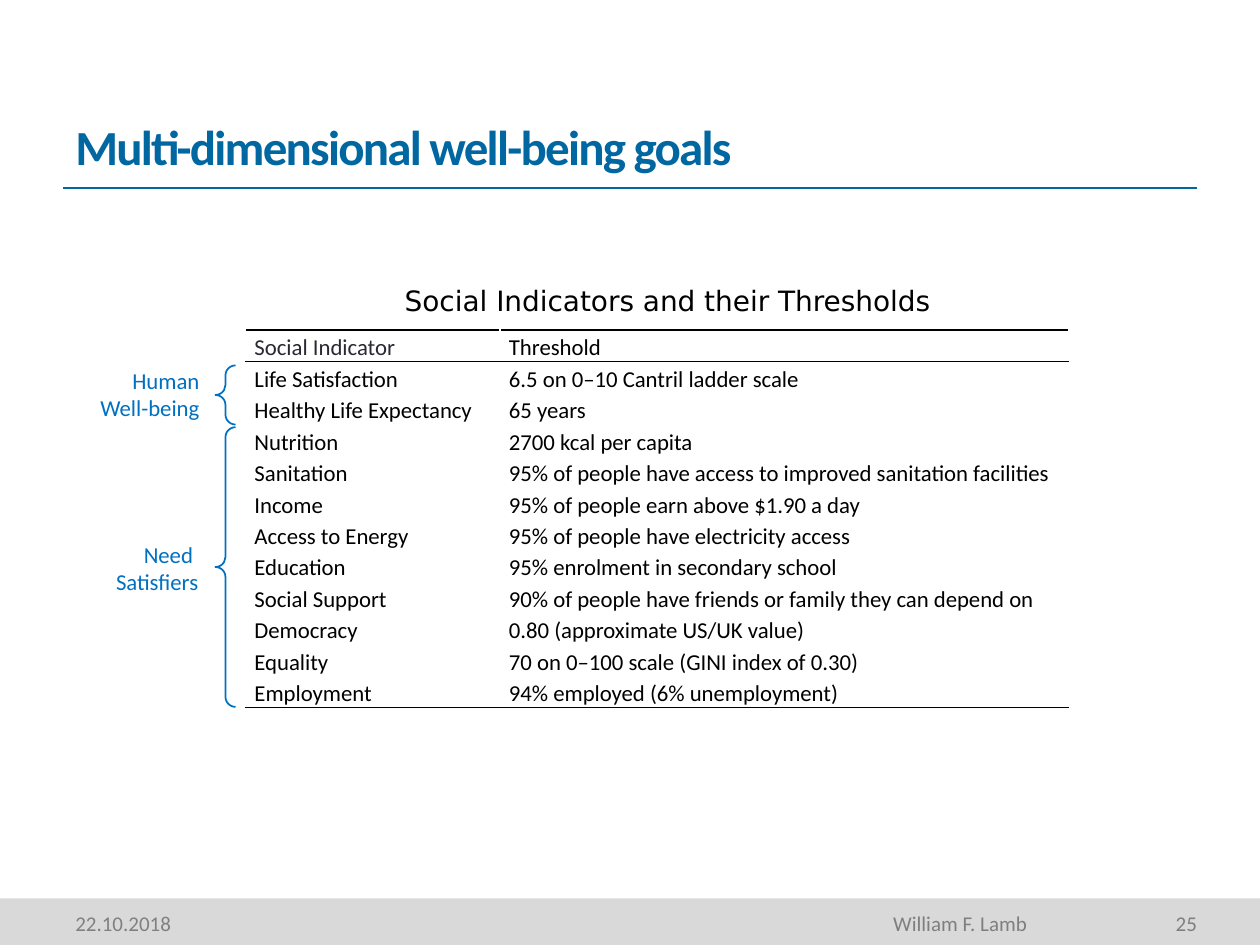
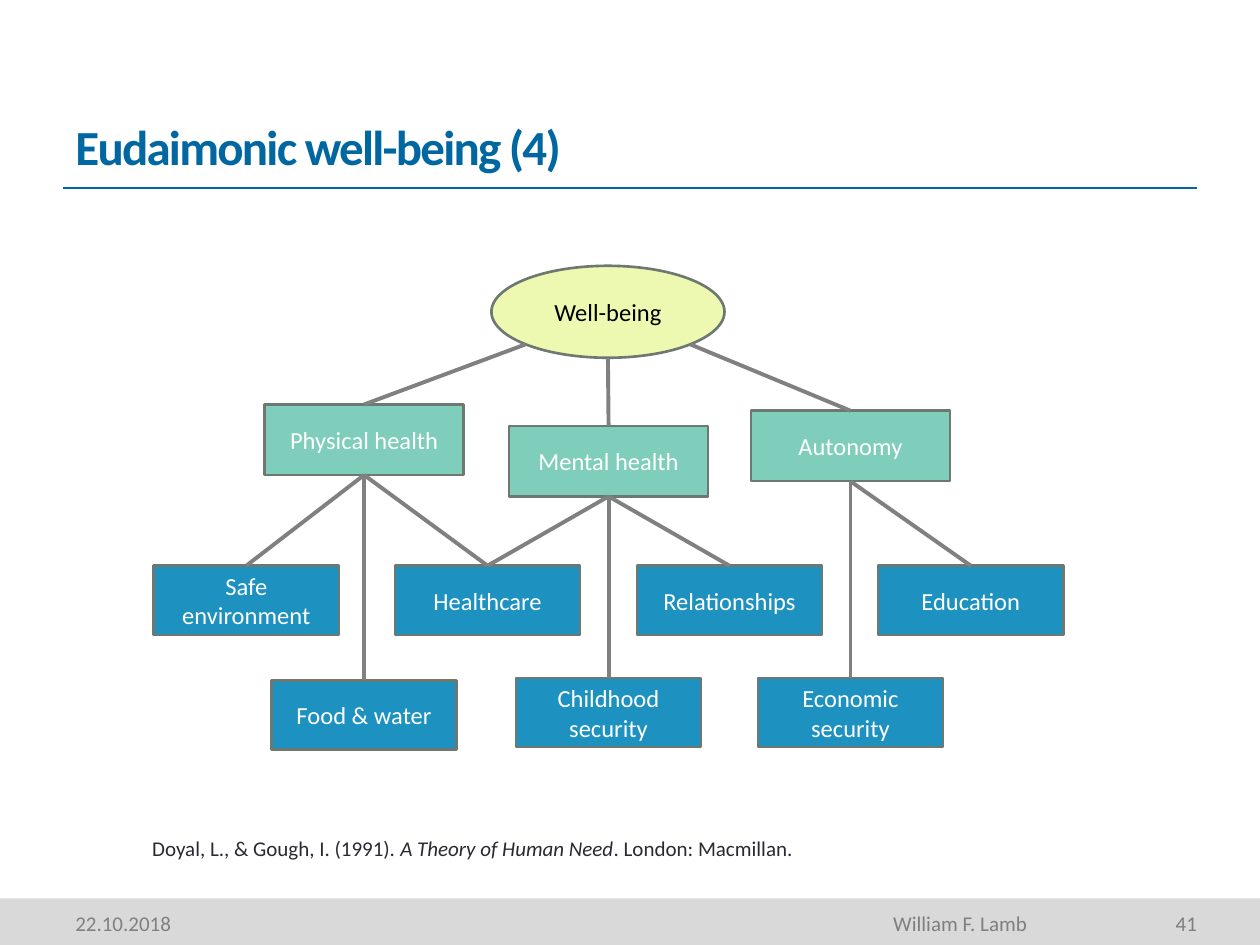
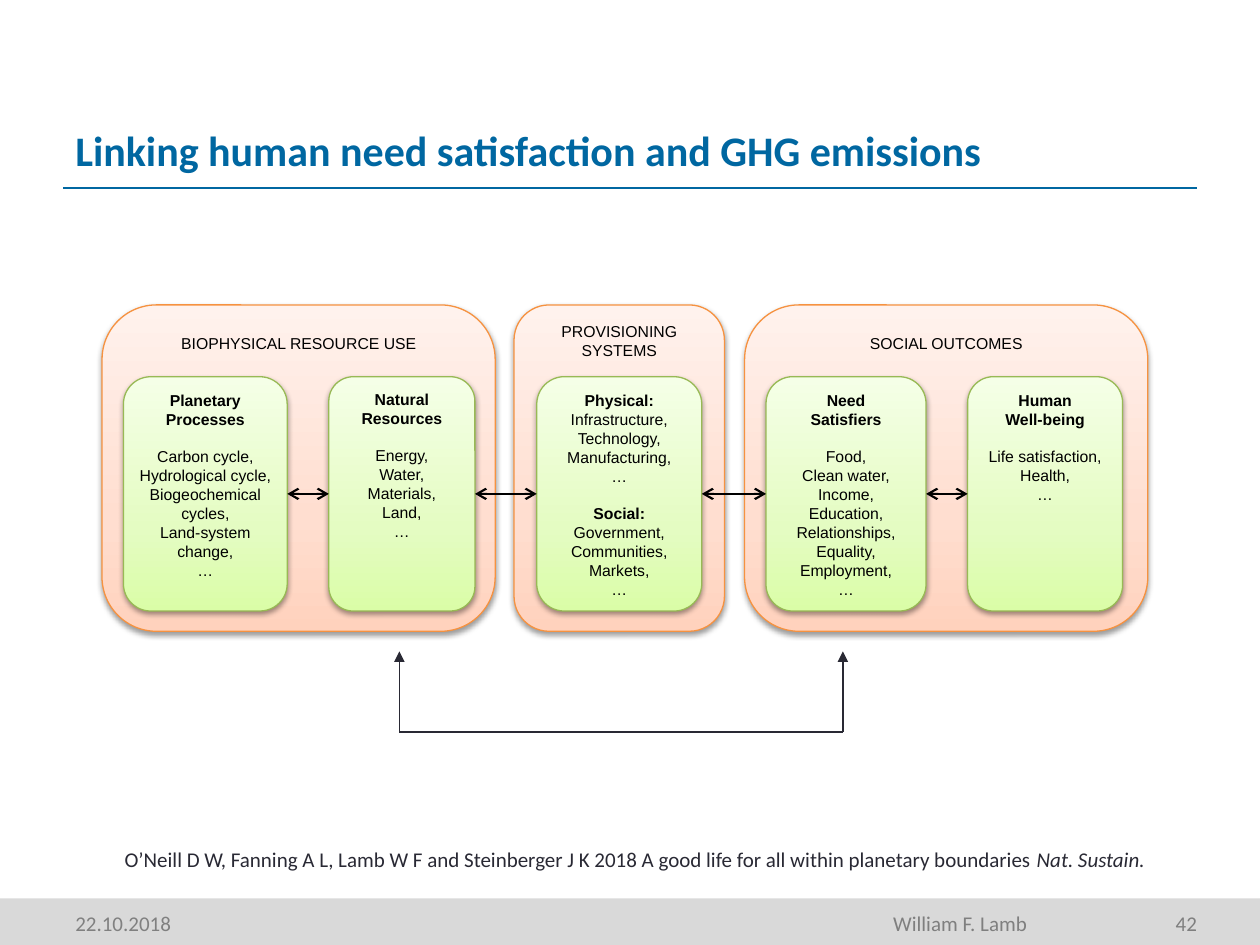
"""Three slides on human well-being, drawn on a grid of 100 columns and 75 rows."""
import copy
import dataclasses
import math
import typing

import lxml.etree
import pptx
import pptx.dml.color
import pptx.enum.shapes
import pptx.enum.text
import pptx.oxml.ns
import pptx.util

Align = pptx.enum.text.PP_ALIGN
Anchor = pptx.enum.text.MSO_ANCHOR
Preset = pptx.enum.shapes.MSO_SHAPE
Point = tuple[float, float]
Stops = tuple[tuple[float, str], ...]
qn = pptx.oxml.ns.qn


@dataclasses.dataclass(frozen=True)
class Type:
    """A font, its size in points and its colour."""
    font: str
    size: float
    color: str
    bold: bool = False
    tracking: float = 0


@dataclasses.dataclass(frozen=True)
class Theme:
    """The colours and type sizes of the deck."""
    brand: str = "0067A1"
    band: str = "D9D9D9"
    ink: str = "292934"
    black: str = "000000"
    brace: str = "0070C0"
    outline: str = "6D7871"
    branch: str = "808080"
    root: str = "EDF8B1"
    need: str = "7FCDBB"
    satisfier: str = "1D91C0"
    panel_edge: str = "F69240"
    card_edge: str = "98B955"
    panel_fill: Stops = ((0, "FFD2BD"), (0.35, "FFDED0"), (1, "FFF2ED"))
    card_fill: Stops = ((0, "DAFDA7"), (0.35, "E4FCC2"), (1, "F5FFE7"))
    title: Type = Type("Calibri", 28, "0067A1", True, -1)
    long_title: Type = Type("Calibri", 24, "0067A1", True)
    date: Type = Type("Calibri", 12, "808080")
    footer: Type = Type("Calibri", 12, "7F7F7F")
    caption: Type = Type("DejaVu Sans", 16, "000000")
    header: Type = Type("Calibri", 13, "292934")
    cell: Type = Type("Calibri", 13, "000000")
    group: Type = Type("Calibri", 13, "0070C0")
    root_label: Type = Type("Calibri", 14, "000000")
    node_label: Type = Type("Calibri", 14, "FFFFFF")
    reference: Type = Type("Calibri", 12, "292934")
    diagram: Type = Type("Arial", 9, "000000")


@dataclasses.dataclass(frozen=True)
class Box:
    """A place on the grid, in columns and rows."""
    left: float
    top: float
    cols: float
    rows: float

    @property
    def center(self) -> float:
        return self.left + self.cols / 2

    @property
    def bottom(self) -> float:
        return self.top + self.rows

    @property
    def right(self) -> float:
        return self.left + self.cols


class Para(typing.NamedTuple):
    """A paragraph; every second part between bars is italic."""
    text: str
    bold: bool = False
    gap: float = 0


class Layout(typing.NamedTuple):
    """How text sits in its frame; insets are left, top, right, bottom."""
    align: Align = Align.LEFT
    anchor: Anchor = Anchor.TOP
    insets: tuple[float, float, float, float] = (1, 0.5, 1, 0.5)
    wrap: bool = True


class Group(typing.NamedTuple):
    """A braced group of table rows."""
    label: tuple[str, ...]
    label_box: Box
    brace: Box


class Node(typing.NamedTuple):
    """A box of the tree, by its centre column and top row."""
    text: str
    center: float
    top: float


class Panel(typing.NamedTuple):
    """A stage of the framework with its heading."""
    heading: tuple[str, ...]
    left: float
    cols: float
    inset: float


class Card(typing.NamedTuple):
    """A list inside a panel."""
    left: float
    cols: float
    paras: tuple[Para, ...]


THEME = Theme()
COLUMNS, ROWS = 100, 75
WIDTH, HEIGHT = pptx.util.Inches(10), pptx.util.Inches(7.5)
BLANK_LINE = 10.35
CENTERED = Layout(Align.CENTER, Anchor.MIDDLE)

INDICATORS = (
    ("Social Indicator", "Threshold"),
    ("Life Satisfaction", "6.5 on 0–10 Cantril ladder scale"),
    ("Healthy Life Expectancy", "65 years"),
    ("Nutrition", "2700 kcal per capita"),
    ("Sanitation", "95% of people have access to improved sanitation facilities"),
    ("Income", "95% of people earn above $1.90 a day"),
    ("Access to Energy", "95% of people have electricity access"),
    ("Education", "95% enrolment in secondary school"),
    ("Social Support", "90% of people have friends or family they can depend on"),
    ("Democracy", "0.80 (approximate US/UK value)"),
    ("Equality", "70 on 0–100 scale (GINI index of 0.30)"),
    ("Employment", "94% employed (6% unemployment)"),
)
GROUPS = (
    Group(("Human", "Well-being"), Box(6.2, 28.6, 10.6, 5.4), Box(17.1, 29, 1.6, 4.7)),
    Group(("Need ", "Satisfiers"), Box(7.2, 42.4, 9.5, 5.4), Box(17.1, 33.9, 1.6, 22.2)),
)
ROOT = Box(39, 21.1, 18.5, 7.3)
NEEDS = (
    Node("Physical health", 28.9, 32.1),
    Node("Mental health", 48.3, 33.8),
    Node("Autonomy", 67.5, 32.6),
)
SATISFIERS = (
    Node("Safe environment", 19.55, 44.9),
    Node("Food & water", 28.9, 54),
    Node("Healthcare", 38.7, 44.9),
    Node("Childhood security", 48.3, 53.8),
    Node("Relationships", 57.9, 44.9),
    Node("Economic security", 67.5, 53.8),
    Node("Education", 77.05, 44.9),
)
SERVED_BY = ((0, 1, 2), (2, 3, 4), (5, 6))
PANELS = (
    Panel(("BIOPHYSICAL RESOURCE USE",), 8.1, 31.2, 1),
    Panel(("PROVISIONING", "SYSTEMS"), 40.8, 16.7, 0.5),
    Panel(("SOCIAL OUTCOMES",), 59.1, 32, 1),
)


def listing(headings: tuple[str, ...], items: tuple[str, ...], gap: float = BLANK_LINE) -> tuple[Para, ...]:
    """Return bold headings followed by items and an ellipsis."""
    heads = tuple(Para(text, bold=True) for text in headings)
    first, *others = items
    return heads + (Para(first, gap=gap), *map(Para, others), Para("…"))


def provisioning() -> tuple[Para, ...]:
    """Return the two lists of provisioning systems."""
    physical = listing(("Physical:",), ("Infrastructure, Technology,", "Manufacturing,"), 0)
    social = listing(("Social:",), ("Government, Communities, Markets,",), 0)
    return physical + (social[0]._replace(gap=BLANK_LINE),) + social[1:]


CARDS = (
    Card(9.8, 13, listing(("Planetary Processes",), (
        "Carbon cycle,", "Hydrological cycle,", "Biogeochemical cycles,", "Land-system change,"))),
    Card(26.1, 11.6, listing(("Natural Resources",), ("Energy,", "Water,", "Materials,", "Land,"))),
    Card(42.6, 13.1, provisioning()),
    Card(60.8, 12.7, listing(("Need", "Satisfiers"), (
        "Food,", "Clean water,", "Income,", "Education,", "Relationships,", "Equality,", "Employment,"))),
    Card(76.8, 12.3, listing(("Human", "Well-being"), ("Life satisfaction,", "Health,"))),
)


def across(cols: float) -> pptx.util.Emu:
    """Return the length of some columns."""
    return pptx.util.Emu(round(WIDTH * cols / COLUMNS))


def down(rows: float) -> pptx.util.Emu:
    """Return the length of some rows."""
    return pptx.util.Emu(round(HEIGHT * rows / ROWS))


def place(box: Box) -> tuple:
    """Return a box as left, top, width and height."""
    return across(box.left), down(box.top), across(box.cols), down(box.rows)


def rgb(color: str) -> pptx.dml.color.RGBColor:
    """Return a colour from its hex digits."""
    return pptx.dml.color.RGBColor.from_string(color)


def write(frame, paras: typing.Iterable[Para], kind: Type, layout: Layout) -> None:
    """Fill a text frame with styled paragraphs."""
    frame.word_wrap = layout.wrap
    frame.vertical_anchor = layout.anchor
    left, top, right, bottom = layout.insets
    frame.margin_left, frame.margin_right = across(left), across(right)
    frame.margin_top, frame.margin_bottom = down(top), down(bottom)
    for number, para in enumerate(paras):
        paragraph = frame.add_paragraph() if number else frame.paragraphs[0]
        paragraph.alignment = layout.align
        if para.gap:
            paragraph.space_before = pptx.util.Pt(para.gap)
        for part, text in enumerate(para.text.split("|")):
            run = paragraph.add_run()
            run.text = text
            style(run, kind, kind.bold or para.bold)
            run.font.italic = part % 2 == 1


def style(run, kind: Type, bold: bool) -> None:
    """Give a run its font, size, colour and tracking."""
    run.font.name, run.font.size = kind.font, pptx.util.Pt(kind.size)
    run.font.color.rgb, run.font.bold = rgb(kind.color), bold
    if kind.tracking:
        run.font._element.set("spc", str(round(kind.tracking * 100)))


def add_text(slide, box: Box, text: str, kind: Type, layout: Layout = Layout()) -> None:
    """Add a text box with one paragraph for each line."""
    frame = slide.shapes.add_textbox(*place(box)).text_frame
    write(frame, map(Para, text.split("\n")), kind, layout)


def add_block(slide, preset: Preset, box: Box, fill: str | None, edge: str | None, weight: float = 1):
    """Add a flat preset shape."""
    block = slide.shapes.add_shape(preset, *place(box))
    block.shadow.inherit = False
    if fill:
        block.fill.solid()
        block.fill.fore_color.rgb = rgb(fill)
    else:
        block.fill.background()
    if edge:
        block.line.color.rgb, block.line.width = rgb(edge), pptx.util.Pt(weight)
    else:
        block.line.fill.background()
    return block


def add_line(slide, start: Point, end: Point, color: str, weight: float, head: str = "", tail: str = "") -> None:
    """Add a straight line with optional arrowheads."""
    line = slide.shapes.add_connector(
        pptx.enum.shapes.MSO_CONNECTOR.STRAIGHT,
        across(start[0]), down(start[1]), across(end[0]), down(end[1]))
    line.line.color.rgb, line.line.width = rgb(color), pptx.util.Pt(weight)
    outline = line._element.spPr.find(qn("a:ln"))
    for tag, arrow in (("a:headEnd", head), ("a:tailEnd", tail)):
        if arrow:
            lxml.etree.SubElement(outline, qn(tag), type=arrow)
    lxml.etree.SubElement(line._element.spPr, qn("a:effectLst"))


def add_glossy(slide, box: Box, stops: Stops, edge: str):
    """Add a rounded block with a rising gradient and a soft shadow."""
    block = add_block(slide, Preset.ROUNDED_RECTANGLE, box, None, edge, 0.75)
    block.fill.gradient()
    block.fill.gradient_angle = 90
    properties = block._element.spPr
    ramp = properties.find(".//" + qn("a:gsLst"))
    ramp.insert(1, copy.deepcopy(ramp[0]))
    for stop, (position, color) in zip(block.fill.gradient_stops, stops):
        stop.position, stop.color.rgb = position, rgb(color)
    shadow = lxml.etree.SubElement(
        properties.find(qn("a:effectLst")), qn("a:outerShdw"),
        blurRad="40000", dist="20000", dir="5400000", rotWithShape="0")
    tint = lxml.etree.SubElement(shadow, qn("a:srgbClr"), val=THEME.black)
    lxml.etree.SubElement(tint, qn("a:alpha"), val="38000")
    return block


def add_page(deck, number: int, title: str, kind: Type = THEME.title):
    """Add a slide with its title, rule and footer."""
    slide = deck.slides.add_slide(deck.slide_layouts[6])
    add_block(slide, Preset.RECTANGLE, Box(0, 71.3, COLUMNS, ROWS - 71.3), THEME.band, None)
    add_line(slide, (5, 14.9), (95, 14.9), THEME.brand, 1)
    add_text(slide, Box(5, 71.5, 31.7, 3.6), "22.10.2018", THEME.date, Layout(anchor=Anchor.MIDDLE))
    add_text(slide, Box(83.3, 71.5, 11.7, 3.5), str(number), THEME.footer,
             Layout(Align.RIGHT, Anchor.MIDDLE, (1, 0.5, 0, 0.5)))
    add_text(slide, Box(37.5, 71.5, 45, 3.6), "William F. Lamb", THEME.footer,
             Layout(Align.RIGHT, Anchor.MIDDLE))
    add_text(slide, Box(5, 3.6, 90, 10.8), title, kind, Layout(anchor=Anchor.BOTTOM))
    return slide


def rule_cell(cell, sides: typing.Iterable[str]) -> None:
    """Draw black rules on the given sides of a cell."""
    properties = cell._tc.get_or_add_tcPr()
    for place_in_order, side in enumerate(sides):
        rule = lxml.etree.Element(qn(f"a:ln{side}"), w=str(pptx.util.Pt(1)))
        paint = lxml.etree.SubElement(rule, qn("a:solidFill"))
        lxml.etree.SubElement(paint, qn("a:srgbClr"), val=THEME.black)
        properties.insert(place_in_order, rule)


def add_indicators(slide) -> None:
    """Add the table of indicators and thresholds."""
    box = Box(19.5, 26.2, 65.3, 2.3 * len(INDICATORS))
    table = slide.shapes.add_table(len(INDICATORS), 2, *place(box)).table
    table.first_row = table.horz_banding = False
    table.columns[0].width, table.columns[1].width = across(20.2), across(45.1)
    sides = {0: "TB", 1: "T", len(INDICATORS) - 1: "B"}
    for row, texts in enumerate(INDICATORS):
        table.rows[row].height = down(2.3)
        for column, text in enumerate(texts):
            cell = table.cell(row, column)
            corner = row == column == 0
            cell.fill.background()
            cell.vertical_anchor = Anchor.BOTTOM
            cell.margin_left = cell.margin_right = across(0.7)
            cell.margin_top = cell.margin_bottom = 0
            paragraph = cell.text_frame.paragraphs[0]
            paragraph.text = text
            paragraph.alignment = Align.JUSTIFY if corner else Align.LEFT
            paragraph.line_spacing = 1.07 if corner else 1.15
            style(paragraph.runs[0], THEME.header if corner else THEME.cell, False)
            rule_cell(cell, sides.get(row, ""))


def thresholds(deck) -> None:
    """Build the slide of social indicators."""
    slide = add_page(deck, 25, "Multi-dimensional well-being goals")
    add_indicators(slide)
    add_text(slide, Box(30.6, 22, 44.8, 3.7), "Social Indicators and their Thresholds",
             THEME.caption, Layout(Align.CENTER, wrap=False))
    for group in GROUPS:
        brace = add_block(slide, Preset.LEFT_BRACE, group.brace, None, THEME.brace)
        brace.adjustments[0] = 0.496
        add_text(slide, group.label_box, "\n".join(group.label), THEME.group, Layout(Align.RIGHT))


def add_node(slide, preset: Preset, box: Box, text: str, fill: str, kind: Type) -> None:
    """Add a labelled box of the tree."""
    block = add_block(slide, preset, box, fill, THEME.outline, 1.5)
    write(block.text_frame, (Para(text),), kind, CENTERED)


def need_tree(deck) -> None:
    """Build the slide of needs and their satisfiers."""
    slide = add_page(deck, 41, "Eudaimonic well-being (4)")
    needs = [Box(node.center - 7.9, node.top, 15.8, 5.6) for node in NEEDS]
    satisfiers = [Box(node.center - 7.35, node.top, 14.7, 5.5) for node in SATISFIERS]
    add_node(slide, Preset.OVAL, ROOT, "Well-being", THEME.root, THEME.root_label)
    for nodes, boxes, fill in ((NEEDS, needs, THEME.need), (SATISFIERS, satisfiers, THEME.satisfier)):
        for node, box in zip(nodes, boxes):
            add_node(slide, Preset.RECTANGLE, box, node.text, fill, THEME.node_label)
    for need, angle, served_by in zip(needs, (135, 90, 45), SERVED_BY):
        turn = math.radians(angle)
        rim = (ROOT.center + ROOT.cols / 2 * math.cos(turn),
               ROOT.top + ROOT.rows / 2 * (1 + math.sin(turn)))
        add_line(slide, rim, (need.center, need.top), THEME.branch, 2.25)
        for index in served_by:
            satisfier = satisfiers[index]
            add_line(slide, (need.center, need.bottom), (satisfier.center, satisfier.top), THEME.branch, 2.25)
    add_text(slide, Box(11.1, 65.8, 85.5, 3),
             "Doyal, L., & Gough, I. (1991). |A Theory of Human Need|. London: Macmillan.", THEME.reference)


def framework(deck) -> None:
    """Build the slide linking resource use to social outcomes."""
    slide = add_page(deck, 42, "Linking human need satisfaction and GHG emissions", THEME.long_title)
    for panel in PANELS:
        block = add_glossy(slide, Box(panel.left, 24.2, panel.cols, 25.9), THEME.panel_fill, THEME.panel_edge)
        write(block.text_frame, map(Para, panel.heading), THEME.diagram,
              Layout(Align.CENTER, insets=(1, panel.inset, 1, 0.5)))
    boxes = [Box(card.left, 29.9, card.cols, 18.6) for card in CARDS]
    for card, box in zip(CARDS, boxes):
        block = add_glossy(slide, box, THEME.card_fill, THEME.card_edge)
        write(block.text_frame, card.paras, THEME.diagram, Layout(Align.CENTER, insets=(0.4, 0.5, 0.4, 0.5)))
    for before, after in zip(boxes, boxes[1:]):
        add_line(slide, (before.right, 39.2), (after.left, 39.2), THEME.black, 1.25, "arrow", "arrow")
    feedback = Box(31.7, 51.7, 35.2, 6.4)
    for side in (feedback.left, feedback.right):
        add_line(slide, (side, feedback.bottom), (side, feedback.top), THEME.ink, 1, tail="triangle")
    add_line(slide, (feedback.left, feedback.bottom), (feedback.right, feedback.bottom), THEME.ink, 1)
    add_text(slide, Box(8.9, 66.7, 85, 7.1),
             "O’Neill D W, Fanning A L, Lamb W F and Steinberger J K 2018 "
             "A good life for all within planetary boundaries |Nat. Sustain.", THEME.reference)


def main() -> None:
    """Build and save the deck."""
    deck = pptx.Presentation()
    deck.slide_width, deck.slide_height = WIDTH, HEIGHT
    for build in (thresholds, need_tree, framework):
        build(deck)
    deck.save("out.pptx")


if __name__ == "__main__":
    main()
